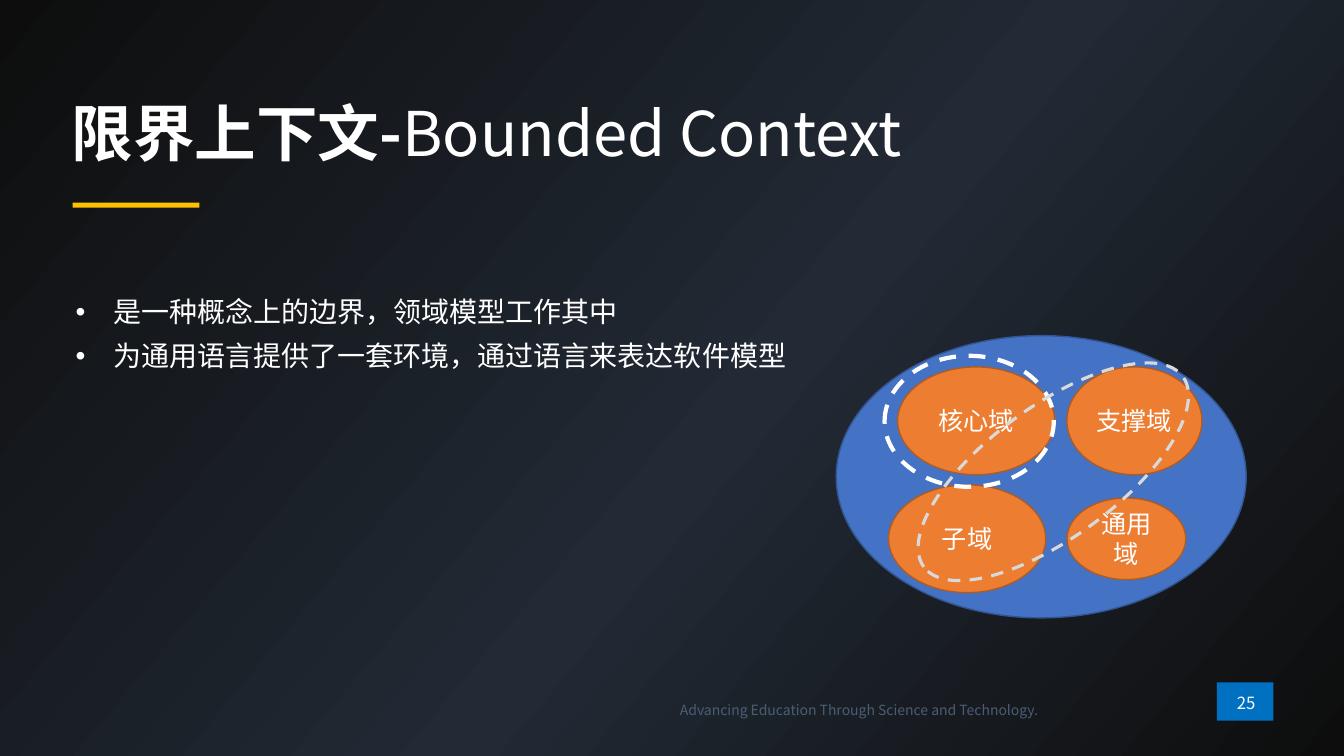
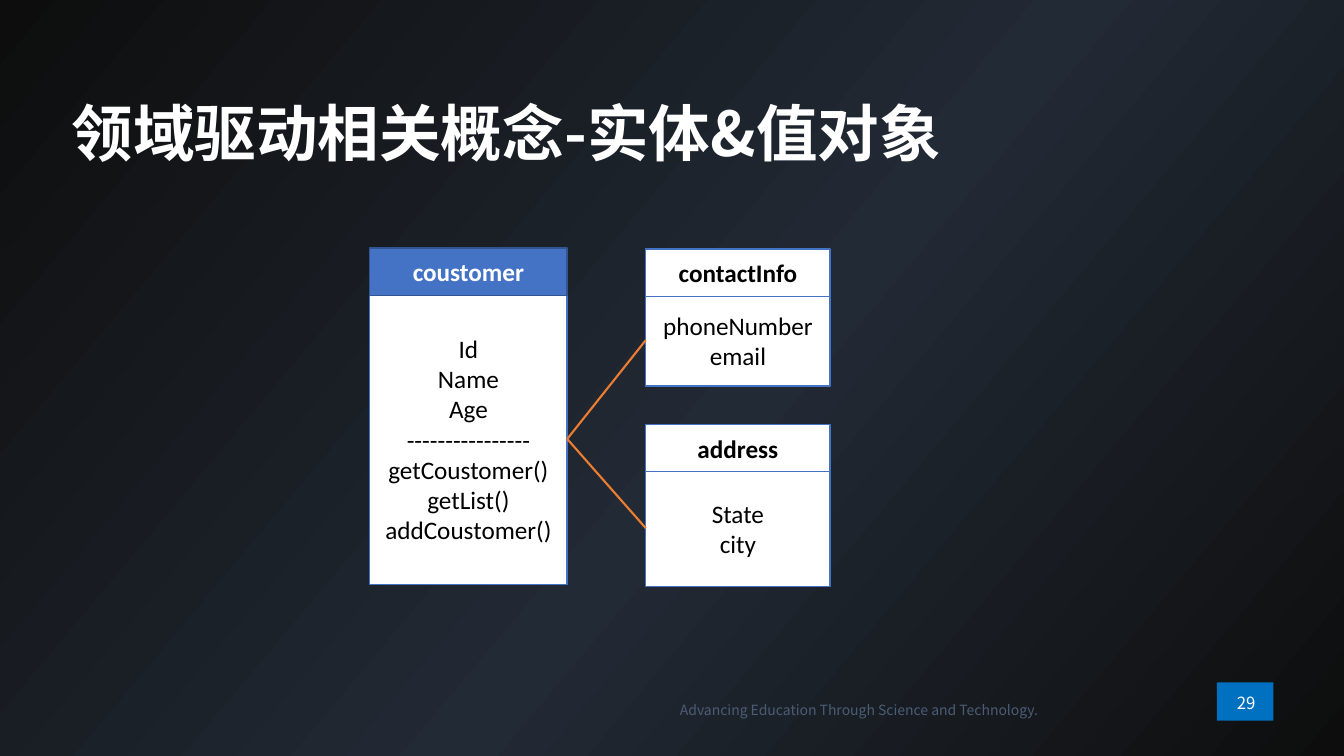
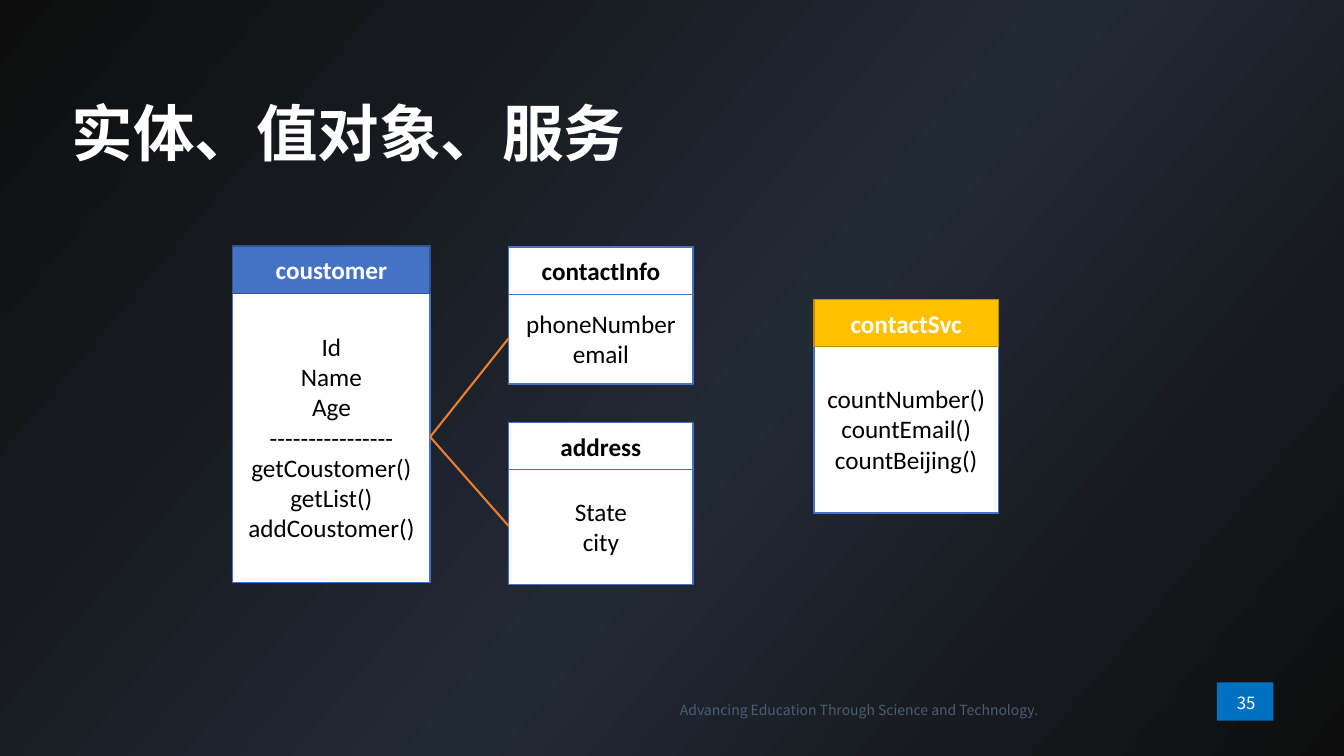
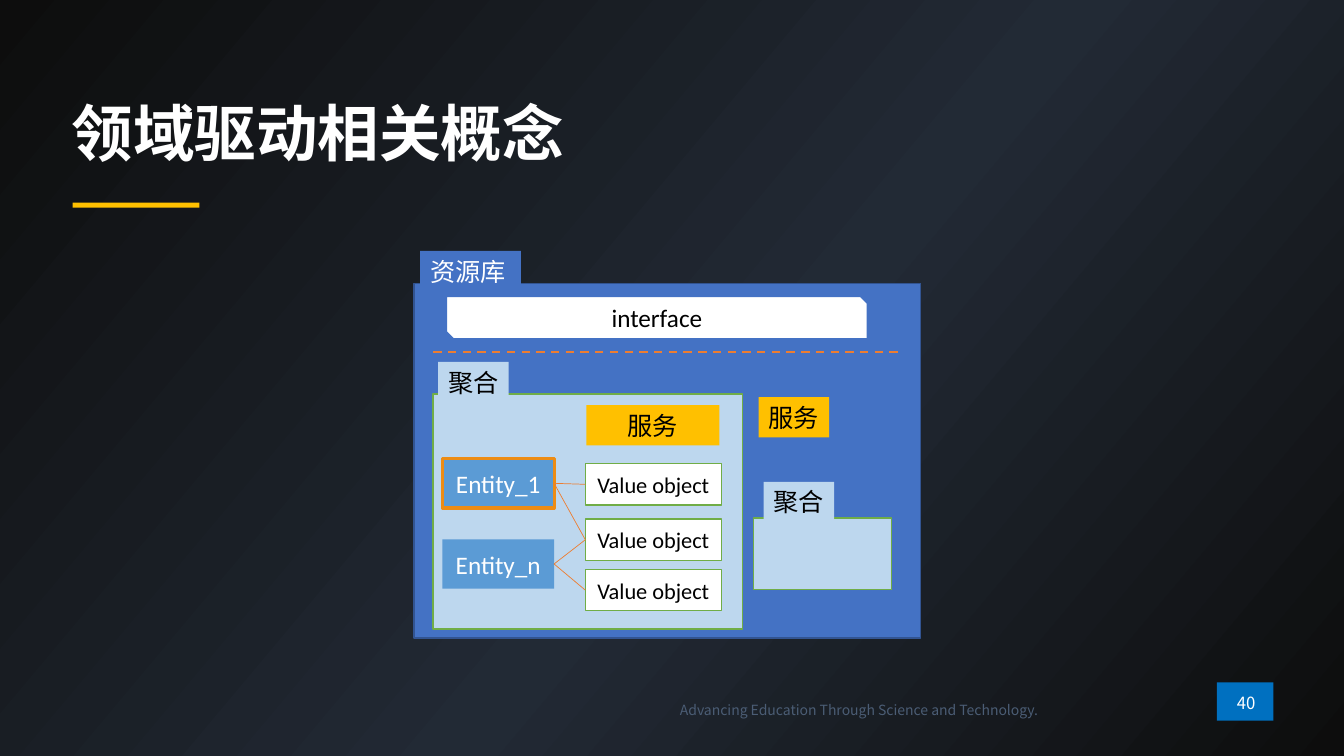
from copy import deepcopy
from dataclasses import dataclass

from pptx import Presentation
from pptx.dml.color import RGBColor
from pptx.enum.dml import MSO_LINE
from pptx.enum.shapes import MSO_CONNECTOR, MSO_SHAPE as SHAPE
from pptx.enum.text import MSO_ANCHOR as ANCHOR, MSO_AUTO_SIZE, PP_ALIGN as ALIGN
from pptx.oxml.ns import qn
from pptx.util import Inches, Pt


@dataclass(frozen=True)
class Theme:
    white: str = "FFFFFF"
    black: str = "000000"
    night: str = "0D0D0D"
    slate: str = "222A35"
    footer: str = "4B5D75"
    badge: str = "0070C0"
    blue: str = "4472C4"
    blue_edge: str = "325491"
    sky: str = "5B9BD5"
    pale: str = "BDD7EE"
    orange: str = "ED7D31"
    orange_edge: str = "AF5C24"
    highlight: str = "ED8C14"
    gold: str = "FFC000"
    gold_edge: str = "BD8E00"
    green: str = "70AD47"
    silver: str = "D9D9D9"
    heading_font: str = "Noto Sans CJK SC"
    label_font: str = "Calibri"
    title_size: float = 44
    list_size: float = 20
    label_size: float = 18
    small_size: float = 16
    number_size: float = 12
    footer_size: float = 10


THEME = Theme()
HEADER_HEIGHT = 0.47
HEADER_STEP = 0.45


def assign(target, **values):
    for name, value in values.items():
        setattr(target, name, value)


def place(box, left, top, width, height):
    assign(box, left=Inches(left), top=Inches(top),
           width=Inches(width), height=Inches(height))


class Deck:
    """Hold the theme and the current page, and draw each kind of element."""

    def __init__(self, theme):
        self.theme = theme
        self.presentation = Presentation()
        assign(self.presentation, slide_width=Inches(13.34), slide_height=Inches(7.5))
        self.page = None
        self.paint_background()

    def paint_background(self):
        master = self.presentation.slide_master
        fill = master.background.fill
        fill.gradient()
        fill.gradient_angle = 320
        stops = master.element.find(".//" + qn("a:gsLst"))
        stops.append(deepcopy(stops[0]))
        colors = [self.theme.night, self.theme.slate, self.theme.night]
        for stop, position, color in zip(fill.gradient_stops, [0, 0.55, 1], colors):
            stop.position = position
            stop.color.rgb = RGBColor.from_string(color)

    def add_page(self, number, title, plain="", layout=5, underline=False):
        theme = self.theme
        first = self.page is None
        layouts = self.presentation.slide_layouts
        self.page = self.presentation.slides.add_slide(layouts[layout])
        if first:
            self.add_footer_to_master()
        self.add_title(title, plain)
        self.text((12.06, 6.76, 0.62, 0.43), str(number), theme.white,
                  theme.number_size, anchor=ANCHOR.MIDDLE)
        if underline:
            self.shape((0.72, 2.01, 1.26, 0.05), theme.gold)

    def add_footer_to_master(self):
        theme = self.theme
        badge = self.shape((12.08, 6.77, 0.56, 0.38), theme.badge)
        motto = self.text((4.61, 6.91, 5.79, 0.27),
                          "Advancing Education Through Science and Technology.",
                          theme.footer, theme.footer_size, align=ALIGN.RIGHT)
        tree = self.presentation.slide_master.shapes.element
        for box in (badge, motto):
            tree.append(box.element)

    def span(self, para, words, color, size, font, bold=False):
        span = para.add_run()
        span.text = words
        assign(span.font, name=font, size=Pt(size), bold=bold)
        span.font.color.rgb = RGBColor.from_string(color)
        latin = span.font._element.find(qn("a:latin"))
        east = deepcopy(latin)
        east.tag = qn("a:ea")
        latin.addnext(east)

    def paragraphs(self, frame, lines, color, size, font, bold=False, **format_values):
        for index, words in enumerate(lines):
            para = frame.add_paragraph() if index else frame.paragraphs[0]
            assign(para, **format_values)
            self.span(para, words, color, size, font, bold)

    def add_title(self, title, plain):
        theme = self.theme
        box = self.page.shapes.title
        place(box, 0.61, 0.92, 11.97, 0.86)
        assign(box.text_frame, vertical_anchor=ANCHOR.MIDDLE, word_wrap=True,
               auto_size=MSO_AUTO_SIZE.NONE)
        para = box.text_frame.paragraphs[0]
        assign(para, alignment=ALIGN.LEFT, line_spacing=0.9)
        for words, bold in ((title, True), (plain, False)):
            if words:
                self.span(para, words, theme.white, theme.title_size,
                          theme.heading_font, bold)

    def bullets(self, at, lines):
        theme = self.theme
        box = self.page.placeholders[1]
        place(box, *at)
        frame = box.text_frame
        frame.auto_size = MSO_AUTO_SIZE.NONE
        self.paragraphs(frame, lines, theme.white, theme.list_size, theme.heading_font,
                        line_spacing=Pt(21.5), space_before=Pt(10))
        frame.paragraphs[0].space_before = Pt(0)

    def text(self, at, words, color, size, align=ALIGN.CENTER, anchor=ANCHOR.TOP):
        box = self.page.shapes.add_textbox(*map(Inches, at))
        assign(box.text_frame, word_wrap=True, vertical_anchor=anchor)
        self.paragraphs(box.text_frame, [words], color, size, self.theme.heading_font,
                        alignment=align)
        return box

    def stroke(self, line, color, width, dashed=False):
        line.color.rgb = RGBColor.from_string(color)
        line.width = Pt(width)
        if dashed:
            line.dash_style = MSO_LINE.DASH

    def shape(self, at, fill=None, line=None, lines=(), color=None, kind=SHAPE.RECTANGLE,
              size=None, bold=False, align=ALIGN.CENTER, anchor=ANCHOR.MIDDLE, wrap=True):
        theme = self.theme
        box = self.page.shapes.add_shape(kind, *map(Inches, at))
        box.shadow.inherit = False
        if fill:
            box.fill.solid()
            box.fill.fore_color.rgb = RGBColor.from_string(fill)
        else:
            box.fill.background()
        if line:
            self.stroke(box.line, *line)
        else:
            box.line.fill.background()
        assign(box.text_frame, word_wrap=wrap, vertical_anchor=anchor)
        self.paragraphs(box.text_frame, lines, color or theme.white,
                        size or theme.label_size, theme.label_font, bold, alignment=align)
        return box

    def ellipse(self, at, fill=None, line=None, lines=()):
        return self.shape(at, fill, line, lines, kind=SHAPE.OVAL)

    def tab(self, at, words, fill, color, align=ALIGN.LEFT):
        return self.shape(at, fill, lines=[words], color=color, align=align,
                          anchor=ANCHOR.TOP, wrap=False)

    def card(self, at, name, members, fill, edge, color):
        left, top, width, height = at
        theme = self.theme
        body = self.shape((left, top + HEADER_STEP, width, height), theme.white,
                          (theme.blue, 1), members, theme.black)
        self.shape((left, top, width, HEADER_HEIGHT), fill, (edge, 1), [name], color,
                   bold=True)
        return body

    def line(self, start, end, width, dashed=False):
        line = self.page.shapes.add_connector(
            MSO_CONNECTOR.STRAIGHT, *map(Inches, (*start, *end)))
        properties = line._element.spPr
        self.stroke(line.line, self.theme.orange, width, dashed)
        properties.append(properties.makeelement(qn("a:effectLst"), {}))
        return line

    def join(self, source, target, width):
        line = self.line((0, 0), (1, 1), width)
        line.begin_connect(source, 3)
        line.end_connect(target, 1)


def draw_customer_model(deck, left, top):
    theme = deck.theme
    customer = deck.card(
        (left, top, 1.96, 2.89), "coustomer",
        ["Id", "Name", "Age", "-" * 16, "getCoustomer()", "getList()", "addCoustomer()"],
        theme.blue, theme.blue_edge, theme.white)
    values = [(0.01, 0.91, "contactInfo", ["phoneNumber", "email"]),
              (1.75, 1.16, "address", ["State", "city"])]
    for offset, height, name, members in values:
        value = deck.card((left + 2.74, top + offset, 1.83, height), name, members,
                          theme.white, theme.blue, theme.black)
        deck.join(customer, value, 1.5)


def draw_bounded_context(deck):
    theme = deck.theme
    deck.add_page(25, "限界上下文-", "Bounded Context", layout=1, underline=True)
    deck.bullets((0.65, 2.91, 11.94, 3.43),
                 ["是一种概念上的边界，领域模型工作其中",
                  "为通用语言提供了一套环境，通过语言来表达软件模型"])
    deck.ellipse((8.3, 3.33, 4.07, 2.8), theme.blue, (theme.blue_edge, 1))
    domains = [("核心域", (8.91, 3.64, 1.56, 1.07)), ("支撑域", (10.59, 3.64, 1.34, 1.07)),
               ("子域", (8.82, 4.81, 1.56, 1.07)), ("通用域", (10.59, 4.94, 1.18, 0.81))]
    for name, at in domains:
        deck.ellipse(at, theme.orange, (theme.orange_edge, 1), [name])
    deck.ellipse((8.78, 3.53, 1.68, 1.3), line=(theme.white, 3, True))
    context = deck.ellipse((8.86, 4.03, 3.19, 1.3), line=(theme.silver, 2.25, True))
    context.rotation = 323.7


def draw_entities(deck):
    deck.add_page(29, "领域驱动相关概念-实体&值对象")
    draw_customer_model(deck, 3.67, 2.46)


def draw_services(deck):
    theme = deck.theme
    deck.add_page(35, "实体、值对象、服务")
    draw_customer_model(deck, 2.31, 2.44)
    deck.card((8.08, 2.97, 1.83, 1.67), "contactSvc",
              ["countNumber()", "countEmail()", "countBeijing()"],
              theme.gold, theme.gold_edge, theme.white)


def draw_repository(deck):
    theme = deck.theme
    deck.add_page(40, "领域驱动相关概念", underline=True)
    deck.shape((4.11, 2.81, 5.03, 3.52), theme.blue, (theme.blue_edge, 1))
    deck.tab((4.17, 2.49, 1, 0.4), "资源库", theme.blue, theme.white)
    deck.shape((4.43, 2.94, 4.18, 0.42), theme.white, (theme.blue, 1), ["interface"],
               theme.black, SHAPE.SNIP_2_DIAG_RECTANGLE)
    deck.line((4.3, 3.49), (8.94, 3.49), 1.5, dashed=True)

    aggregates = [((4.3, 3.91, 3.07, 2.33), (4.35, 3.59, 0.7, 0.36)),
                  ((7.48, 5.14, 1.37, 0.71), (7.58, 4.78, 0.7, 0.4))]
    for body, label in aggregates:
        deck.shape(body, theme.pale, (theme.green, 1))
        deck.tab(label, "聚合", theme.pale, theme.black)
    deck.tab((5.82, 4.02, 1.32, 0.4), "服务", theme.gold, theme.black, ALIGN.CENTER)
    deck.tab((7.53, 3.94, 0.7, 0.4), "服务", theme.gold, theme.black)

    entities = [deck.shape((4.39, top, 1.11, 0.49), theme.sky, edge, [name])
                for name, top, edge in (("Entity_1", 4.55, (theme.highlight, 2.25)),
                                        ("Entity_n", 5.35, None))]
    values = [deck.shape((5.81, top, 1.35, 0.41), theme.white, (theme.green, 1),
                         ["Value object"], theme.black, size=theme.small_size)
              for top in (4.6, 5.15, 5.65)]
    for entity, value in ((0, 0), (0, 1), (1, 1), (1, 2)):
        deck.join(entities[entity], values[value], 0.5)


def main():
    deck = Deck(THEME)
    for draw in (draw_bounded_context, draw_entities, draw_services, draw_repository):
        draw(deck)
    deck.presentation.save("out.pptx")


if __name__ == "__main__":
    main()
